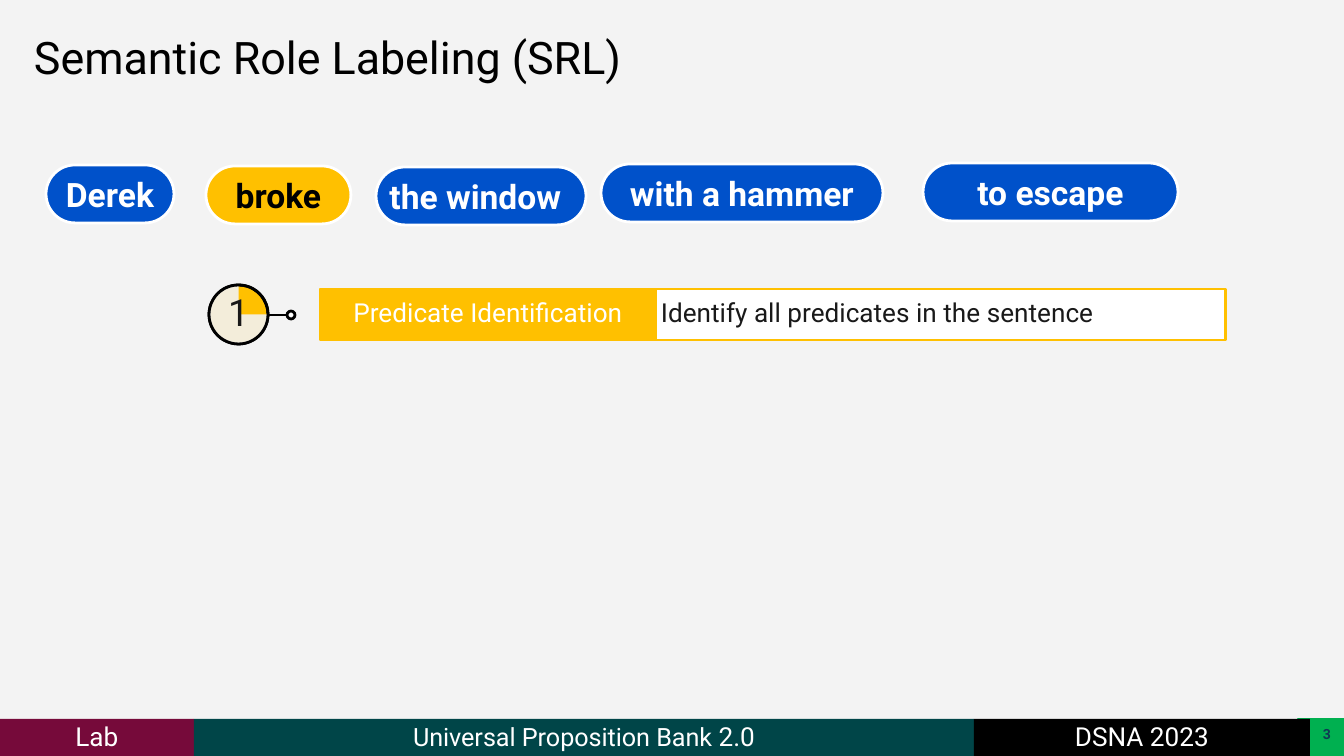
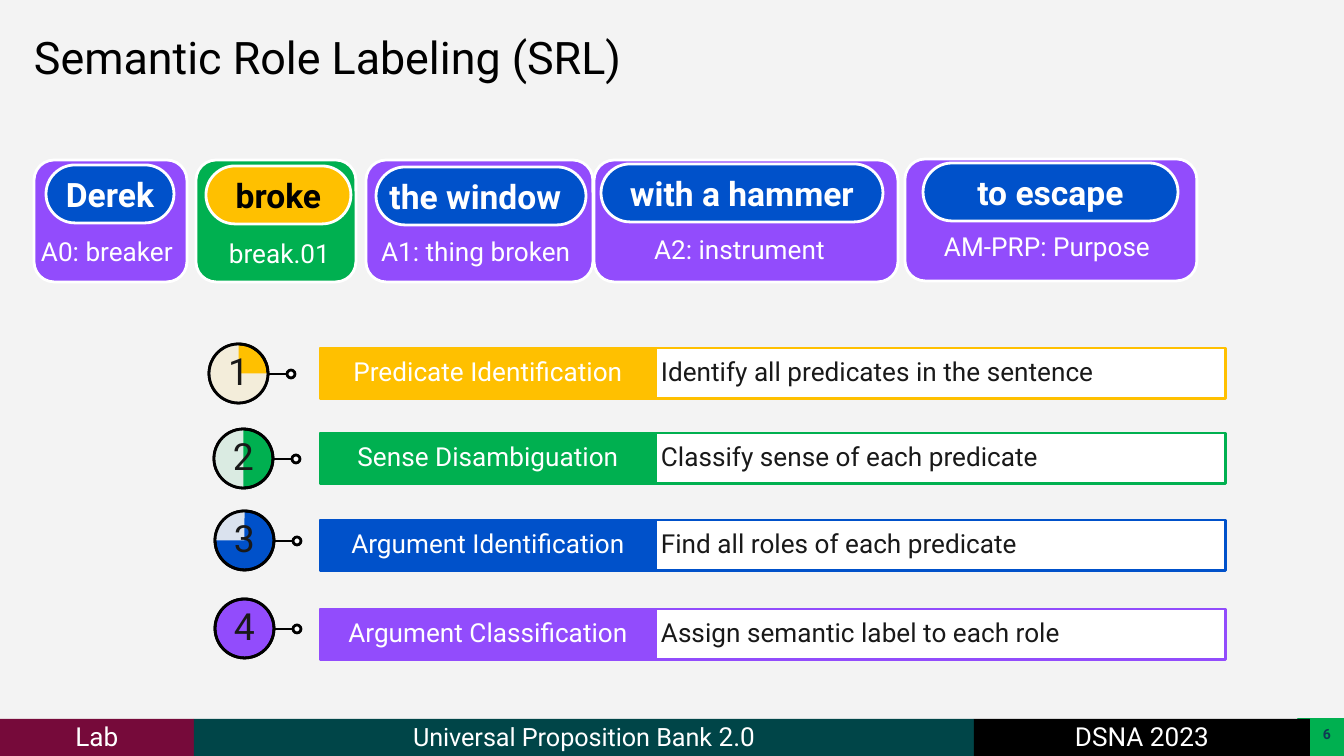
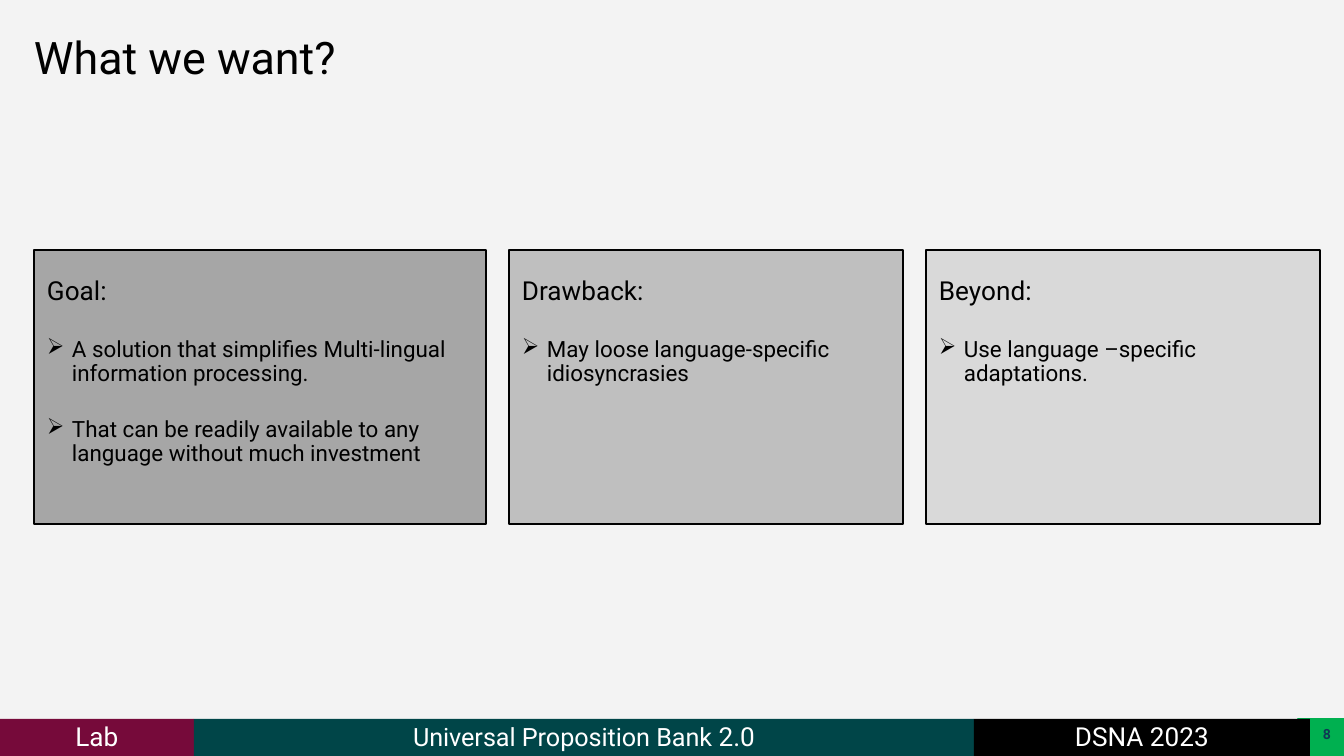
import pptx
import pptx.dml.color
import pptx.enum.shapes
import pptx.enum.text
import pptx.oxml.ns
import pptx.util
from lxml import etree

SHAPE = pptx.enum.shapes.MSO_SHAPE
ALIGN = pptx.enum.text.PP_ALIGN
ANCHOR = pptx.enum.text.MSO_ANCHOR
qn = pptx.oxml.ns.qn

WIDTH, HEIGHT = 1344, 756
SCALE = 9144000 / WIDTH

FONT = "Roboto"
PAPER, WHITE, BLACK, INK = "F3F3F3", "FFFFFF", "000000", "191919"
YELLOW, GREEN, BLUE, PURPLE = "FFC000", "00B050", "0051CA", "924CFC"
VEIL, MAROON, TEAL, NAVY = "F2F2F2", "760A3A", "004548", "0F3A54"

# phrase, left, top, width, fill, font colour, alignment
PHRASES = [
    ("Derek", 46, 165, 128, BLUE, WHITE, ALIGN.CENTER),
    ("broke", 206, 166, 145, YELLOW, BLACK, ALIGN.CENTER),
    ("the window", 376, 167, 210, BLUE, WHITE, ALIGN.LEFT),
    ("with a hammer", 601, 164, 282, BLUE, WHITE, ALIGN.CENTER),
    ("to escape", 923, 163, 255, BLUE, WHITE, ALIGN.CENTER),
]

# outline, left, top, width, fill, then label, left, top, width, alignment
ROLES = [
    (SHAPE.FLOWCHART_ALTERNATE_PROCESS, 34, 160, 153, PURPLE,
     "A0: breaker", 28, 228, 171, ALIGN.LEFT),
    (SHAPE.FLOWCHART_ALTERNATE_PROCESS, 196, 160, 160, GREEN,
     "break.01", 203, 230, 153, ALIGN.CENTER),
    (SHAPE.FLOWCHART_ALTERNATE_PROCESS, 366, 160, 227, PURPLE,
     "A1: thing broken", 368, 228, 224, ALIGN.LEFT),
    (SHAPE.ROUNDED_RECTANGLE, 594, 160, 304, PURPLE,
     "A2: instrument", 641, 226, 206, ALIGN.LEFT),
    (SHAPE.ROUNDED_RECTANGLE, 905, 159, 292, PURPLE,
     "AM-PRP: Purpose", 931, 223, 238, ALIGN.LEFT),
]

# name, description, colour, bar top, dial left, dial top
STEPS = [
    ("Predicate Identification", "Identify all predicates in the sentence",
     YELLOW, 348, 209, 344),
    ("Sense Disambiguation", "Classify sense of each predicate",
     GREEN, 433, 214, 429),
    ("Argument Identification", "Find all roles of each predicate",
     BLUE, 520, 215, 511),
    ("Argument Classification", "Assign semantic label to each role",
     PURPLE, 609, 215, 599),
]

# heading, bullets, width, fill
PANELS = [
    ("Goal:", ["A solution that simplifies Multi-lingual information processing.",
               "That can be readily available to any language without much investment"],
     452, "A6A6A6"),
    ("Drawback:", ["May loose language-specific idiosyncrasies"], 394, "BFBFBF"),
    ("Beyond:", ["Use language –specific adaptations."], 394, "D9D9D9"),
]


def px(n):
    return pptx.util.Emu(round(n * SCALE))


def rgb(value):
    return pptx.dml.color.RGBColor.from_string(value)


class Deck:
    def __init__(self):
        self.prs = pptx.Presentation()
        self.prs.slide_width, self.prs.slide_height = px(WIDTH), px(HEIGHT)
        self.s = None

    def slide(self, title, number):
        self.s = self.prs.slides.add_slide(self.prs.slide_layouts[6])
        self.s.background.fill.solid()
        self.s.background.fill.fore_color.rgb = rgb(PAPER)
        self.footer(number)
        self.label(title, 34, 36, 745, 118, size=24, color=BLACK,
                   insets=(0, 0, 0, 0), spacing=0.9)

    def footer(self, number):
        top, height = 719, 37
        sp = self.shape(SHAPE.RECTANGLE, 1298, top, 46, height, GREEN, GREEN, 0.75)
        self.text(sp, str(number), 7.5, NAVY, ALIGN.RIGHT, bold=True,
                  insets=(13, 7, 13, 7), spacing=None)
        for text, left, width, fill, size in (
                ("Lab", 0, 194, MAROON, 14),
                ("Universal Proposition Bank ", 194, 780, TEAL, 13.5),
                ("DSNA 2023", 974, 336, BLACK, 14)):
            sp = self.shape(SHAPE.RECTANGLE, left, top, width, height, fill)
            p = self.text(sp, text, size, WHITE, ALIGN.CENTER)
            if fill == TEAL:
                r = p.add_run()
                r.text, r.font.size = "2.0", pptx.util.Pt(14)

    def shape(self, kind, left, top, width, height, fill=None, line=None,
              weight=1.5, adjust=()):
        sp = self.s.shapes.add_shape(kind, px(left), px(top), px(width), px(height))
        sp.shadow.inherit = False
        for i, value in enumerate(adjust):
            sp.adjustments[i] = value
        if fill:
            sp.fill.solid()
            sp.fill.fore_color.rgb = rgb(fill)
        else:
            sp.fill.background()
        if line:
            sp.line.color.rgb = rgb(line)
            sp.line.width = pptx.util.Pt(weight)
        else:
            sp.line.fill.background()
        return sp

    def text(self, sp, text, size, color, align=ALIGN.LEFT, bold=False,
             anchor=ANCHOR.TOP, insets=(5, 5, 5, 5), spacing=0.9):
        tf = sp.text_frame
        tf.word_wrap, tf.vertical_anchor = True, anchor
        tf.margin_left, tf.margin_top, tf.margin_right, tf.margin_bottom = map(px, insets)
        return self.style(tf.paragraphs[0], text, size, color, align, bold, spacing)

    def style(self, p, text, size, color, align=ALIGN.LEFT, bold=False, spacing=0.9):
        p.add_run().text = text
        p.alignment, p.line_spacing = align, spacing
        p.font.name, p.font.size, p.font.bold = FONT, pptx.util.Pt(size), bold
        p.font.color.rgb = rgb(color)
        return p

    def label(self, text, left, top, width, height=46, align=ALIGN.LEFT, size=14,
              color=WHITE, insets=(13, 7, 13, 7), spacing=None):
        sp = self.s.shapes.add_textbox(px(left), px(top), px(width), px(height))
        self.text(sp, text, size, color, align, insets=insets, spacing=spacing)

    def pill(self, text, left, top, width, fill, color, align):
        sp = self.shape(SHAPE.ROUNDED_RECTANGLE, left, top, width, 58, fill, WHITE,
                        adjust=[0.5])
        self.text(sp, text, 18, color, align, bold=True)

    def role(self, kind, left, top, width, fill, text, *place):
        self.shape(kind, left, top, width, 122, fill, WHITE)
        *box, align = place
        self.label(text, *box, align=align)

    def line(self, x1, y1, x2, y2):
        cn = self.s.shapes.add_connector(pptx.enum.shapes.MSO_CONNECTOR.STRAIGHT,
                                         px(x1), px(y1), px(x2), px(y2))
        cn.line.color.rgb, cn.line.width = rgb(BLACK), pptx.util.Pt(1.5)
        etree.SubElement(cn._element.spPr, qn("a:effectLst"))

    def dial(self, number, left, top, color):
        """Numbered disc with number/4 of it in full colour, and its pointer."""
        size = 59
        self.shape(SHAPE.OVAL, left, top, size, size, color, BLACK)
        if number < 4:
            pie = self.shape(SHAPE.PIE, left, top, size, size, VEIL,
                             adjust=[54 * (number - 1), 162])
            clr = pie._element.spPr.find(".//" + qn("a:srgbClr"))
            etree.SubElement(clr, qn("a:alpha"), val="90000")
        ring = self.shape(SHAPE.OVAL, left, top, size, size, None, BLACK)
        self.text(ring, str(number), 20, INK, ALIGN.CENTER, anchor=ANCHOR.MIDDLE)
        tip = left + size + 19
        self.shape(SHAPE.OVAL, tip, top + 26, 8, 8, WHITE, BLACK)
        self.line(left + size, top + 30, tip, top + 30)

    def step(self, number, shift=0):
        name, description, color, top, dial_left, dial_top = STEPS[number - 1]
        self.dial(number, dial_left, dial_top + shift, color)
        for text, left, width, fill, ink, align in (
                (name, 320, 336, color, WHITE, ALIGN.CENTER),
                (description, 656, 570, WHITE, INK, ALIGN.LEFT)):
            sp = self.shape(SHAPE.RECTANGLE, left, top + shift, width, 51, fill, color)
            self.text(sp, text, 14, ink, align, anchor=ANCHOR.MIDDLE)

    def panel(self, left, width, heading, bullets, fill):
        sp = self.shape(SHAPE.RECTANGLE, left, 250, width, 274, fill, BLACK, 0.75)
        self.text(sp, heading, 14, BLACK, insets=(13, 28, 0, 0))
        for text in bullets:
            p = self.style(sp.text_frame.add_paragraph(), text, 12, BLACK)
            p.space_before = pptx.util.Pt(17)
            self.bullet(p)

    def bullet(self, p):
        pPr = p._p.get_or_add_pPr()
        indent = px(25)
        pPr.set("marL", str(indent))
        pPr.set("indent", str(-indent))
        mark = etree.Element(qn("a:buChar"), char="➢")
        pPr.find(qn("a:defRPr")).addprevious(mark)


def main():
    deck = Deck()

    deck.slide("Semantic Role Labeling (SRL)", 3)
    for phrase in PHRASES:
        deck.pill(*phrase)
    deck.step(1, shift=-59)

    deck.slide("Semantic Role Labeling (SRL)", 6)
    for number in range(1, len(STEPS) + 1):
        deck.step(number)
    for role in ROLES:
        deck.role(*role)
    for phrase in PHRASES:
        deck.pill(*phrase)

    deck.slide("What we want?", 8)
    left, gap = 34, 23
    for heading, bullets, width, fill in PANELS:
        deck.panel(left, width, heading, bullets, fill)
        left += width + gap

    deck.prs.save("out.pptx")


if __name__ == "__main__":
    main()
